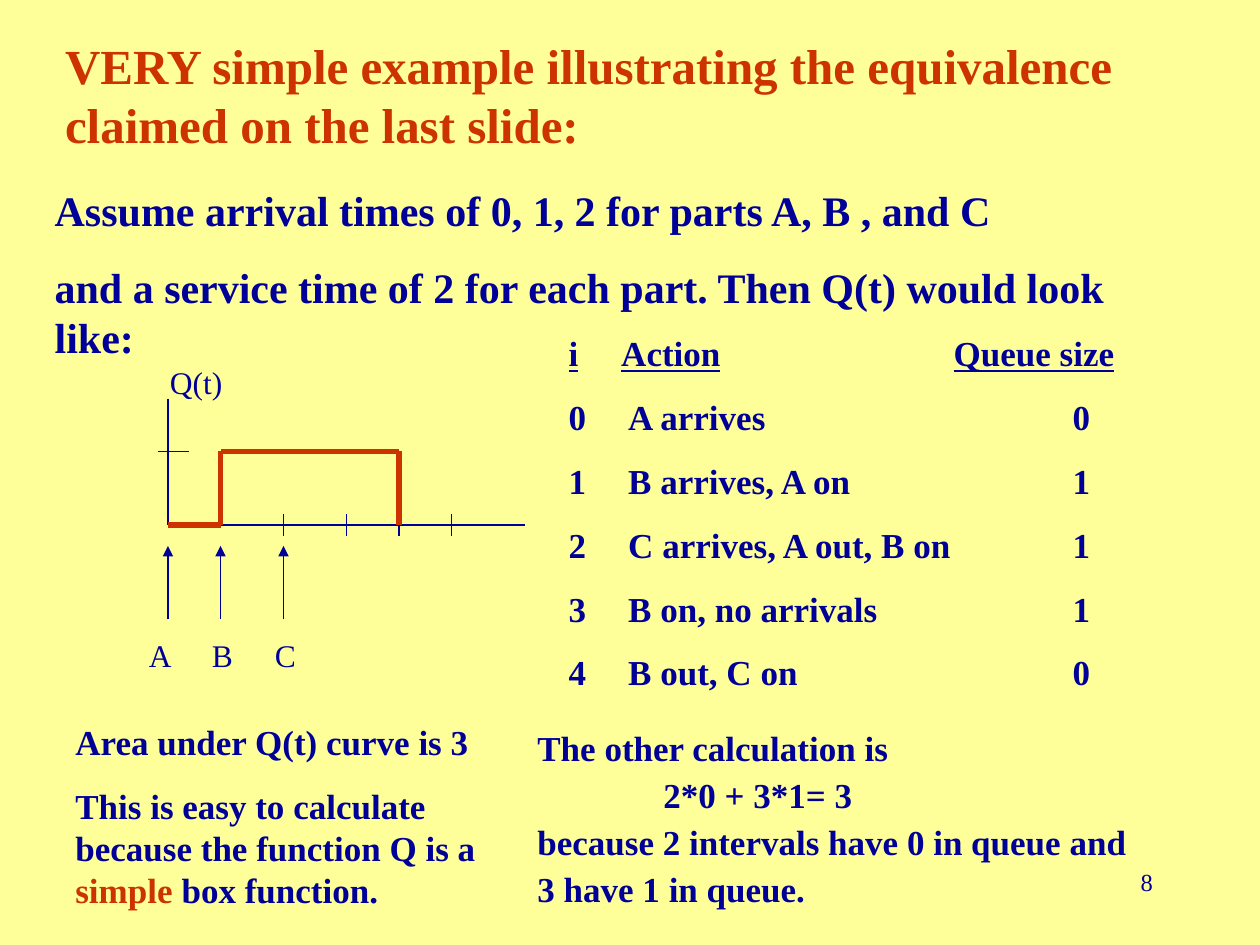
from dataclasses import dataclass

from lxml import etree
from pptx import Presentation
from pptx import util as u
from pptx.dml.color import RGBColor
from pptx.enum import shapes, text
from pptx.oxml import ns

FONT = "Times New Roman"
NAVY, RED, YELLOW = "000099", "CC3300", "FFFF99"
NO_GRID_STYLE = "{2D5ABB26-0587-4C30-8999-92F81FD0307C}"


@dataclass(frozen=True)
class Frame:
    left: float
    top: float
    width: float
    height: float


@dataclass(frozen=True)
class Line:
    spans: tuple
    indent: float = 0


@dataclass(frozen=True)
class Segment:
    x1: float
    y1: float
    x2: float
    y2: float
    color: str = NAVY
    weight: float = 0.75
    arrow: bool = False


@dataclass(frozen=True)
class Part:
    name: str
    arrival_x: float
    label_x: float


@dataclass(frozen=True)
class Column:
    width: float
    row_inset: float


def paint(color_format, color: str) -> None:
    color_format.rgb = RGBColor.from_string(color)


def place(box, frame: Frame) -> None:
    box.left, box.top = u.Pt(frame.left), u.Pt(frame.top)
    box.width, box.height = u.Pt(frame.width), u.Pt(frame.height)


def plain(words: str, indent: float = 0) -> Line:
    return Line(((words, NAVY),), indent)


def write(frame, lines, *, size, color=None, bold=False, underline=False,
          before=0, spacing=None, align=text.PP_ALIGN.LEFT) -> None:
    """Fill a text frame; color, when given, overrides the colour of each span."""
    for index, line in enumerate(lines):
        para = frame.add_paragraph() if index else frame.paragraphs[0]
        props = para._p.get_or_add_pPr()
        props.set("marL", str(int(u.Pt(line.indent))))
        props.set("indent", "0")
        etree.SubElement(props, ns.qn("a:buNone"))
        para.alignment = align
        para.space_before = u.Pt(before if index else 0)
        if spacing:
            para.line_spacing = spacing
        for words, span_color in line.spans:
            span = para.add_run()
            span.text = words
            span.font.name = FONT
            span.font.size = u.Pt(size)
            span.font.bold = bold
            span.font.underline = underline
            paint(span.font.color, color or span_color)


def fill_box(box, frame: Frame, lines, *, anchor=text.MSO_ANCHOR.TOP,
             wrap=True, **style) -> None:
    place(box, frame)
    box.text_frame.word_wrap = wrap
    box.text_frame.auto_size = text.MSO_AUTO_SIZE.NONE
    box.text_frame.vertical_anchor = anchor
    write(box.text_frame, lines, **style)


def add_text(parent, frame: Frame, lines, **style) -> None:
    fill_box(parent.shapes.add_textbox(0, 0, 0, 0), frame, lines, **style)


def draw(group, segment: Segment) -> None:
    line = group.shapes.add_connector(
        shapes.MSO_CONNECTOR.STRAIGHT, u.Pt(segment.x1), u.Pt(segment.y1),
        u.Pt(segment.x2), u.Pt(segment.y2))
    line.line.width = u.Pt(segment.weight)
    paint(line.line.color, segment.color)
    if segment.arrow:
        etree.SubElement(line.line._get_or_add_ln(), ns.qn("a:tailEnd"), type="triangle")
    etree.SubElement(line._element.spPr, ns.qn("a:effectLst"))


def draw_queue_plot(page) -> None:
    group = page.shapes.add_group_shape()
    origin, base, level = 96, 300, 258
    axes = [Segment(origin, 228, origin, base), Segment(origin, base, 300, base),
            Segment(90, level, 108, level)]
    ticks = [Segment(x, base - 6, x, base + 6) for x in (162, 198, 228, 258)]
    corners = [(origin, base), (126, base), (126, level), (228, level), (228, base)]
    curve = [Segment(*start, *end, RED, 3) for start, end in zip(corners, corners[1:])]
    for segment in axes + ticks + curve:
        draw(group, segment)

    for part in (Part("A", origin, 78), Part("B", 126, 114), Part("C", 162, 150)):
        draw(group, Segment(part.arrival_x, 354, part.arrival_x, 312, arrow=True))
        add_text(group, Frame(part.label_x, 360, 26, 29), [plain(part.name)],
                 size=18, wrap=False)
    add_text(group, Frame(90, 204, 60, 29), [plain("Q(t)")], size=18)


def fill_cell(cell, words: str, inset: float, underline: bool) -> None:
    cell.margin_left = u.Pt(inset)
    cell.margin_right = cell.margin_top = cell.margin_bottom = 0
    cell.vertical_anchor = text.MSO_ANCHOR.MIDDLE
    props = cell._tc.get_or_add_tcPr()
    for side in ("lnL", "lnR", "lnT", "lnB"):
        border = etree.SubElement(props, ns.qn(f"a:{side}"))
        etree.SubElement(border, ns.qn("a:noFill"))
    cell.fill.background()
    write(cell.text_frame, [plain(words)], size=20, bold=True, underline=underline)


def add_action_table(page) -> None:
    columns = [Column(30, 0), Column(190, 4), Column(100, 68)]
    rows = [("i", "Action", "Queue size"),
            ("0", "A arrives", "0"),
            ("1", "B arrives, A on", "1"),
            ("2", "C arrives, A out, B on", "1"),
            ("3", "B on, no arrivals", "1"),
            ("4", "B out, C on", "0")]
    row_height = 36.5
    table = page.shapes.add_table(
        len(rows), len(columns), u.Pt(325), u.Pt(184.5),
        u.Pt(sum(column.width for column in columns)),
        u.Pt(row_height * len(rows))).table
    table.first_row = table.horz_banding = False
    table._tbl.tblPr.find(ns.qn("a:tableStyleId")).text = NO_GRID_STYLE
    for index, column in enumerate(columns):
        table.columns[index].width = u.Pt(column.width)
    for r, row in enumerate(rows):
        table.rows[r].height = u.Pt(row_height)
        for c, words in enumerate(row):
            fill_cell(table.cell(r, c), words, columns[c].row_inset if r else 0,
                      underline=r == 0)


def main() -> None:
    deck = Presentation()
    deck.slide_width, deck.slide_height = u.Pt(720), u.Pt(540)
    page = deck.slides.add_slide(deck.slide_layouts[1])
    page.background.fill.solid()
    paint(page.background.fill.fore_color, YELLOW)

    fill_box(page.shapes.title, Frame(30, 30, 678, 48),
             [plain("VERY simple example illustrating the equivalence "
                    "claimed on the last slide:")],
             size=28, color=RED, bold=True, anchor=text.MSO_ANCHOR.MIDDLE)
    fill_box(page.placeholders[1], Frame(24, 102, 630, 109),
             [plain("Assume arrival times of 0, 1, 2 for parts A, B , and C"),
              plain("and a service time of 2 for each part. Then Q(t) would look like:")],
             size=24, bold=True, before=15)

    add_action_table(page)
    draw_queue_plot(page)

    add_text(page, Frame(36, 408, 246, 116),
             [plain("Area under Q(t) curve is 3"),
              Line((("This is easy to calculate because the function Q is a ", NAVY),
                    ("simple ", RED), ("box function.", NAVY)))],
             size=20, bold=True, before=12.5)
    add_text(page, Frame(300, 420, 372, 102),
             [plain("The other calculation is"), plain("2*0 + 3*1= 3", indent=72),
              plain("because 2 intervals have 0 in queue and"),
              plain("3 have 1 in queue.")],
             size=20, bold=True, before=12.5, spacing=0.6)
    add_text(page, Frame(516, 492, 150, 36), [plain("8")], size=14,
             align=text.PP_ALIGN.RIGHT)
    deck.save("out.pptx")


if __name__ == "__main__":
    main()
